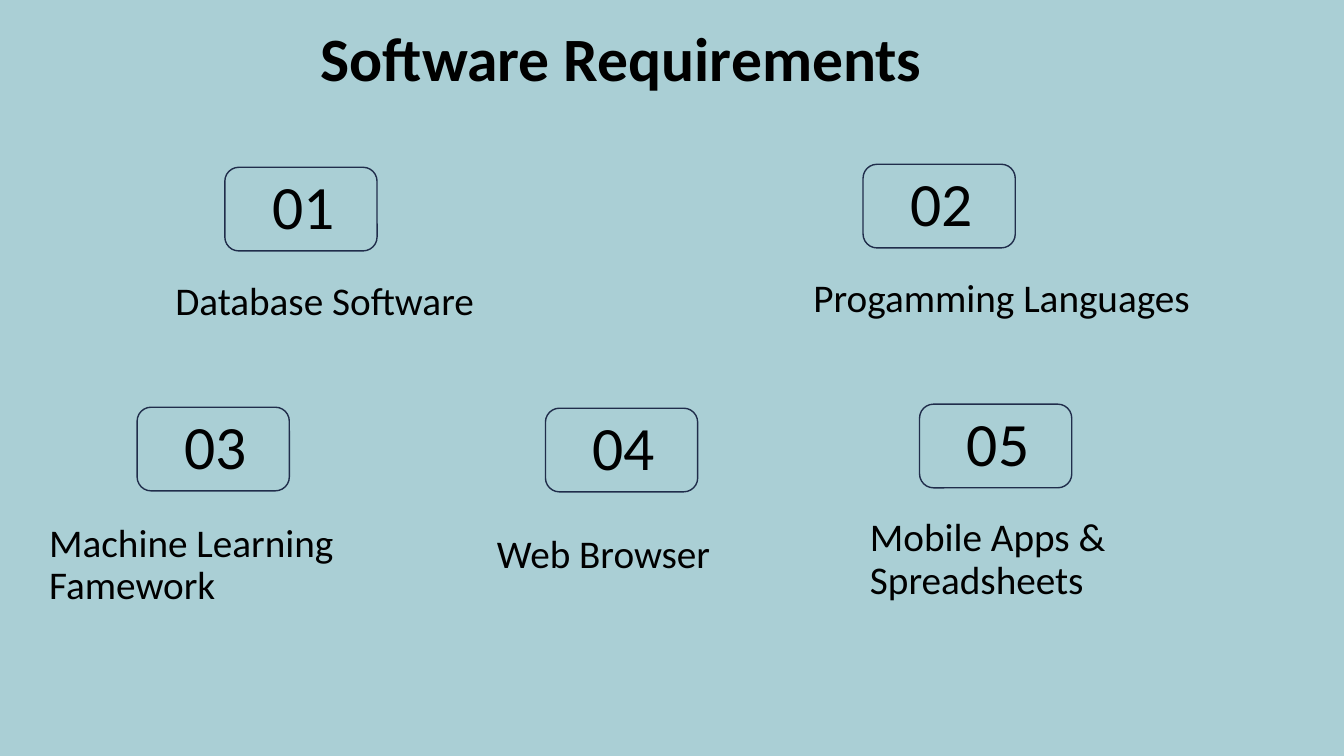
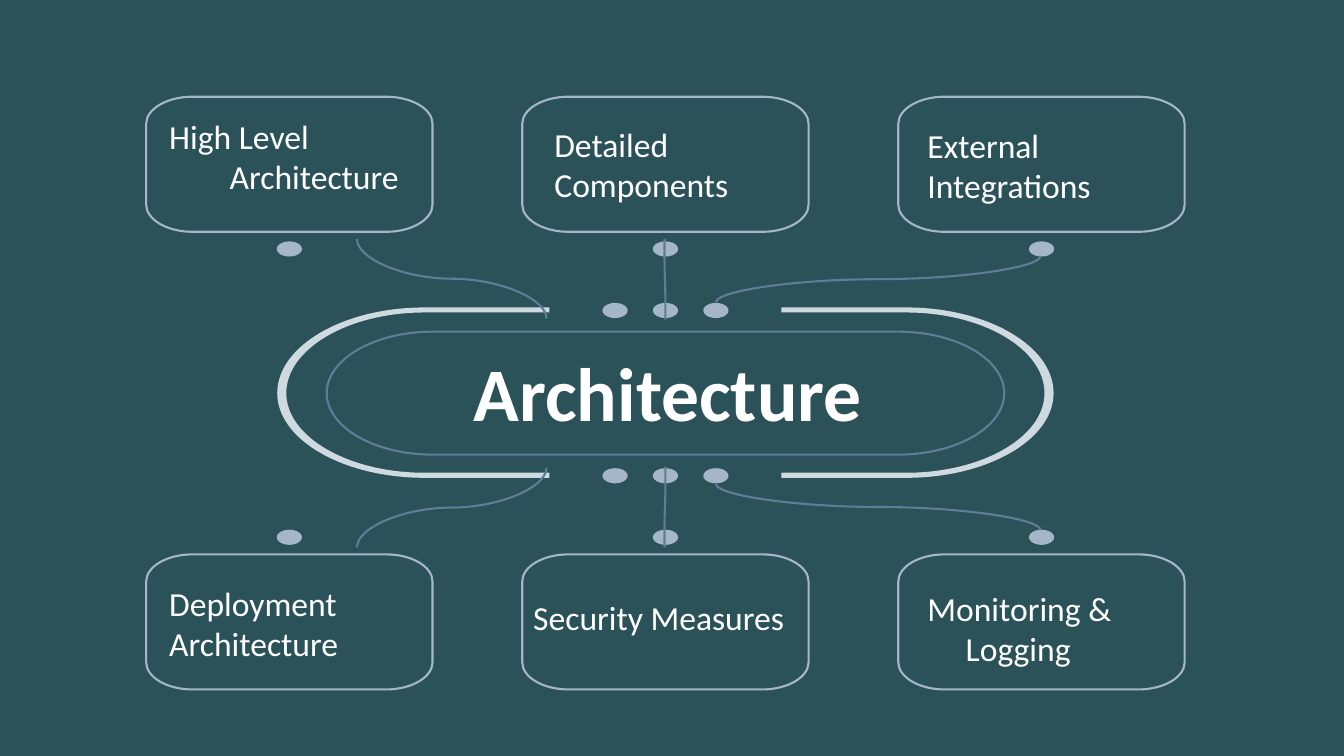
from lxml import etree
from pptx import Presentation
from pptx.dml.color import RGBColor
from pptx.enum.shapes import MSO_CONNECTOR, MSO_SHAPE
from pptx.enum.text import MSO_ANCHOR, PP_ALIGN
from pptx.oxml.ns import qn
from pptx.util import Inches, Pt

CURVE = MSO_CONNECTOR.CURVE
OVAL, ROUNDED = MSO_SHAPE.OVAL, MSO_SHAPE.ROUNDED_RECTANGLE
TOP, MIDDLE = MSO_ANCHOR.TOP, MSO_ANCHOR.MIDDLE
LEFT, CENTER = PP_ALIGN.LEFT, PP_ALIGN.CENTER

FONT = "Calibri"
BLACK = RGBColor(0x00, 0x00, 0x00)
WHITE = RGBColor(0xFF, 0xFF, 0xFF)
PALE_TEAL = RGBColor(0x9C, 0xC7, 0xCE)
DARK_TEAL = RGBColor(0x2B, 0x52, 0x59)
NAVY = RGBColor(0x20, 0x2D, 0x4B)
STEEL = RGBColor(0x5F, 0x7D, 0x95)
SILVER = RGBColor(0xA5, 0xB7, 0xC6)
MIST = RGBColor(0xCF, 0xD9, 0xE0)


def write(sp, text, size, color, align=LEFT, anchor=TOP, spacing=1.0,
          bold=False, inset_y=0.1, indent=0):
    """Newlines split paragraphs; paragraphs after the first are indented."""
    tf = sp.text_frame
    tf.word_wrap = True
    tf.vertical_anchor = anchor
    tf.margin_left = tf.margin_right = Inches(0.1)
    tf.margin_top = tf.margin_bottom = Inches(inset_y)
    for i, paragraph in enumerate(text.split("\n")):
        p = tf.add_paragraph() if i else tf.paragraphs[0]
        p.alignment = align
        p.line_spacing = spacing
        if i:
            p._p.get_or_add_pPr().set("marL", str(Inches(indent)))
        r = p.add_run()
        r.text = paragraph
        r.font.name, r.font.size, r.font.bold = FONT, Pt(size), bold
        r.font.color.rgb = color


def outline(s, start, nodes):
    """Closed shape; a node is (x, y) for a line or (corner_x, corner_y, x, y) for a round corner."""
    x, y = start
    points, curved = [], []
    for *corner, end_x, end_y in nodes:
        if corner:
            cx, cy = corner
            points += [(x + 0.55 * (cx - x), y + 0.55 * (cy - y)),
                       (end_x + 0.55 * (cx - end_x), end_y + 0.55 * (cy - end_y))]
            curved.append(len(points) - 2)
        elif abs(end_x - x) + abs(end_y - y) < 0.01:
            continue
        points.append((end_x, end_y))
        x, y = end_x, end_y
    builder = s.shapes.build_freeform(Inches(start[0]), Inches(start[1]))
    builder.add_line_segments([(Inches(px), Inches(py)) for px, py in points], close=True)
    sp = builder.convert_to_shape()
    sp.shadow.inherit = False
    lines = list(sp._element.iter(qn("a:lnTo")))
    for i in curved:
        bezier = etree.Element(qn("a:cubicBezTo"))
        lines[i].addprevious(bezier)
        for line in lines[i:i + 3]:
            bezier.append(line[0])
            line.getparent().remove(line)
    return sp


prs = Presentation()
prs.slide_width, prs.slide_height = Inches(13.33), Inches(7.5)

# Both slides: background and title
slides = []
for title, box, size, color, back, opacity, spacing in [
    ("Software Requirements", (1.95, 0.3, 8.43, 0.63), 44, BLACK, PALE_TEAL, 85, 0.9),
    ("Architecture", (3.82, 3.57, 5.61, 0.62), 54, WHITE, DARK_TEAL, 100, 1.0),
]:
    s = prs.slides.add_slide(prs.slide_layouts[5])
    s.background.fill.solid()
    s.background.fill.fore_color.rgb = back
    if opacity < 100:
        shade = next(s._element.iter(qn("a:srgbClr")))
        etree.SubElement(shade, qn("a:alpha")).set("val", str(opacity * 1000))
    sp = s.shapes.title
    sp.left, sp.top, sp.width, sp.height = map(Inches, box)
    write(sp, title, size, color, CENTER, MIDDLE, spacing, bold=True)
    slides.append(s)
requirements, architecture = slides

# Software requirements: numbered boxes, each with a label below
s = requirements
LABEL_DX, LABEL_DY = -0.59, 1.03
for number, (x, y, dx, dy, width, height, label) in enumerate([
    (2.23, 1.66, LABEL_DX, LABEL_DY, 3.35, 0.53, "Database Software"),
    (8.56, 1.63, LABEL_DX, LABEL_DY, 4.37, 0.53, "Progamming Languages"),
    (1.36, 4.04, -0.97, 1.05, 4.44, 1.11, "Machine Learning Famework"),
    (5.41, 4.05, -0.58, 1.15, 3.35, 0.53, "Web Browser"),
    (9.12, 4.01, LABEL_DX, LABEL_DY, 3.35, 0.53, "Mobile Apps & Spreadsheets"),
], start=1):
    sp = s.shapes.add_shape(ROUNDED, Inches(x), Inches(y), Inches(1.51), Inches(0.83))
    sp.shadow.inherit = False
    sp.fill.background()
    sp.line.color.rgb = NAVY
    sp.line.width = Pt(1)
    sp = s.shapes.add_textbox(Inches(x + dx), Inches(y + dy), Inches(width), Inches(height))
    write(sp, label, 28, BLACK, spacing=0.9)
    sp = s.shapes.add_textbox(Inches(x), Inches(y + 0.11), Inches(1.56), Inches(0.61))
    write(sp, f"{number:02}", 44, BLACK, CENTER, MIDDLE, 0.9)

# Architecture: a central pill and three columns of boxes above and below it
s = architecture
MID_X, MID_Y, PITCH = 6.6, 3.9, 3.73
SIDES, COLUMNS = (-1, 1), (-1, 0, 1)
frames = [(MID_X, MID_Y, 6.72, 1.22, 1.05, 0.61, STEEL)]
frames += [(MID_X + col * PITCH, MID_Y + side * 2.27, 2.84, 1.34, 0.46, 0.27, SILVER)
           for side in SIDES for col in COLUMNS]
for cx, cy, width, height, rx, ry, color in frames:
    left, right = cx - width / 2, cx + width / 2
    top, bottom = cy - height / 2, cy + height / 2
    sp = outline(s, (left + rx, top), [
        (left, top, left, top + ry), (left, bottom - ry),
        (left, bottom, left + rx, bottom), (right - rx, bottom),
        (right, bottom, right, bottom - ry), (right, top + ry),
        (right, top, right - rx, top)])
    sp.fill.background()
    sp.line.color.rgb = color
    sp.line.width = Pt(1.5)

# Brackets around the pill
for side in SIDES:
    tip, bend, outer, inner = (MID_X + side * reach for reach in (1.15, 2.39, 3.85, 3.76))
    top, bottom = MID_Y - 0.85, MID_Y + 0.84
    inner_top, inner_bottom = top + 0.05, bottom - 0.05
    sp = outline(s, (tip, top), [
        (bend, top), (outer, top, outer, MID_Y), (outer, bottom, bend, bottom),
        (tip, bottom), (tip, inner_bottom), (bend, inner_bottom),
        (inner, inner_bottom, inner, MID_Y), (inner, inner_top, bend, inner_top),
        (tip, inner_top)])
    sp.fill.solid()
    sp.fill.fore_color.rgb = MIST
    sp.line.fill.background()

# Dots beside the boxes and beside the pill
DOT_W, DOT_H = 0.25, 0.15
for dot_pitch, dot_reach in [(PITCH, 1.43), (0.5, 0.82)]:
    for side in SIDES:
        for col in COLUMNS:
            sp = s.shapes.add_shape(
                OVAL, Inches(MID_X + col * dot_pitch - DOT_W / 2),
                Inches(MID_Y + side * dot_reach - DOT_H / 2), Inches(DOT_W), Inches(DOT_H))
            sp.shadow.inherit = False
            sp.fill.solid()
            sp.fill.fore_color.rgb = SILVER
            sp.line.fill.background()

# Curved links leave vertically, so each is laid out sideways and turned by 90°
for side in SIDES:
    for outer_x, inner_x, outer_y, inner_y in [
        (3.54, 5.42, 1.53, 0.74), (6.59, 6.6, 1.53, 0.73), (10.32, 7.1, 1.36, 0.9),
    ]:
        cx, cy = (outer_x + inner_x) / 2, MID_Y + side * (outer_y + inner_y) / 2
        half_w, half_h = (outer_y - inner_y) / 2, side * (outer_x - inner_x) / 2
        link = s.shapes.add_connector(CURVE, Inches(cx - half_w), Inches(cy + half_h),
                                      Inches(cx + half_w), Inches(cy - half_h))
        link.line.color.rgb = STEEL
        link.line.width = Pt(1.5)
        sp_pr = link._element.spPr
        sp_pr.find(qn("a:xfrm")).set("rot", str(90 * 60000))
        etree.SubElement(sp_pr, qn("a:effectLst"))

# Box captions
for x, y, width, height, caption, indent in [
    (1.58, 1.1, 3.07, 0.91, "High Level\nArchitecture", 0.6),
    (5.4, 1.18, 3.07, 0.91, "Detailed Components", 0),
    (9.1, 1.19, 2.84, 0.91, "External Integrations", 0),
    (1.58, 5.73, 3.07, 0.91, "Deployment Architecture", 0),
    (5.19, 5.87, 3.07, 0.5, "Security Measures", 0),
    (9.1, 5.78, 3.07, 0.91, "Monitoring &\nLogging", 0.38),
]:
    sp = s.shapes.add_textbox(Inches(x), Inches(y), Inches(width), Inches(height))
    write(sp, caption, 24, WHITE, inset_y=0.05, indent=indent)

prs.save("out.pptx")
